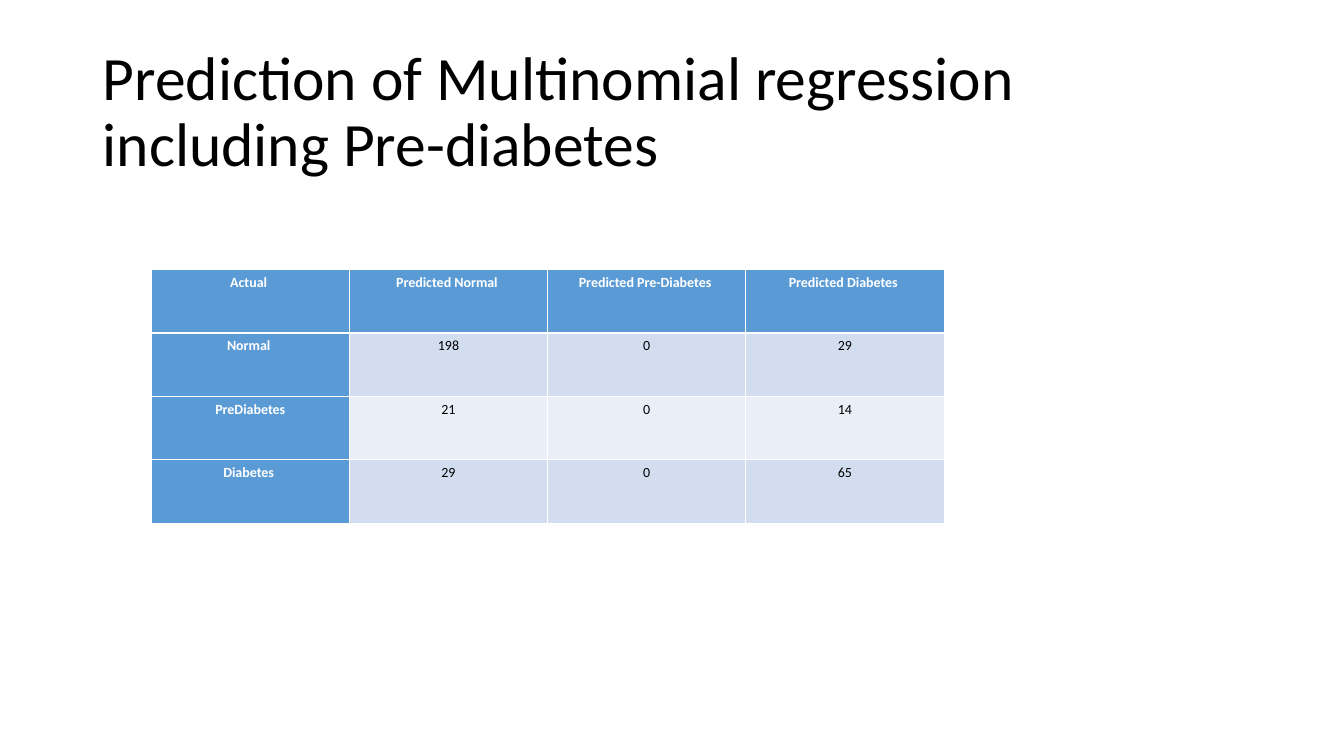
"""Build the multinomial regression prediction slide."""
from lxml.etree import SubElement
from pptx import Presentation
from pptx.dml.color import RGBColor
from pptx.enum.text import MSO_ANCHOR, PP_ALIGN
from pptx.oxml.ns import qn
from pptx.util import Inches, Pt

BLACK = RGBColor(0x00, 0x00, 0x00)
WHITE = RGBColor(0xFF, 0xFF, 0xFF)
BLUE = RGBColor(0x5B, 0x9B, 0xD5)
BAND_DARK = RGBColor(0xD2, 0xDE, 0xEF)
BAND_LIGHT = RGBColor(0xEA, 0xEF, 0xF7)

ROWS = [
    ["Actual ", "Predicted Normal ", "Predicted Pre-Diabetes ", "Predicted Diabetes "],
    ["Normal ", "198", "0", "29"],
    ["PreDiabetes", "21", "0", "14"],
    ["Diabetes ", "29", "0", "65"],
]


def style_font(font, size, color, bold):
    font.name = "Calibri"
    font.size = Pt(size)
    font.bold = bold
    font.color.rgb = color


def add_border(cell, side, width):
    ln = SubElement(cell._tc.get_or_add_tcPr(), qn(f"a:ln{side}"), w=str(Pt(width)))
    fill = SubElement(ln, qn("a:solidFill"))
    SubElement(fill, qn("a:srgbClr"), val=str(WHITE))


prs = Presentation()
prs.slide_width = Inches(13.34)
prs.slide_height = Inches(7.5)
s = prs.slides.add_slide(prs.slide_layouts[5])

title = s.shapes.title
title.left, title.top = Inches(0.92), Inches(0.4)
title.width, title.height = Inches(11.5), Inches(1.45)
tf = title.text_frame
tf.text = "Prediction of Multinomial regression including Pre-diabetes"
tf.word_wrap = True
tf.vertical_anchor = MSO_ANCHOR.MIDDLE
p = tf.paragraphs[0]
p.alignment = PP_ALIGN.LEFT
p.line_spacing = 0.9
style_font(p.runs[0].font, 44, BLACK, False)

table = s.shapes.add_table(
    len(ROWS), len(ROWS[0]), Inches(1.5), Inches(2.67), Inches(7.87), Inches(2.52)
).table
for row in table.rows:
    row.height = Inches(0.63)

for i, values in enumerate(ROWS):
    for j, value in enumerate(values):
        cell = table.cell(i, j)
        is_header = i == 0 or j == 0
        cell.margin_left = cell.margin_right = Inches(0.08)
        cell.margin_top = cell.margin_bottom = Inches(0.05)
        for side in "LRTB":
            under_header = (i, side) in [(0, "B"), (1, "T")]
            add_border(cell, side, 1.47 if under_header else 0.45)
        cell.fill.solid()
        cell.fill.fore_color.rgb = BLUE if is_header else BAND_DARK if i % 2 else BAND_LIGHT
        p = cell.text_frame.paragraphs[0]
        p.text = value
        p.alignment = PP_ALIGN.CENTER
        style_font(p.runs[0].font, 10, WHITE if is_header else BLACK, is_header)

prs.save("out.pptx")
